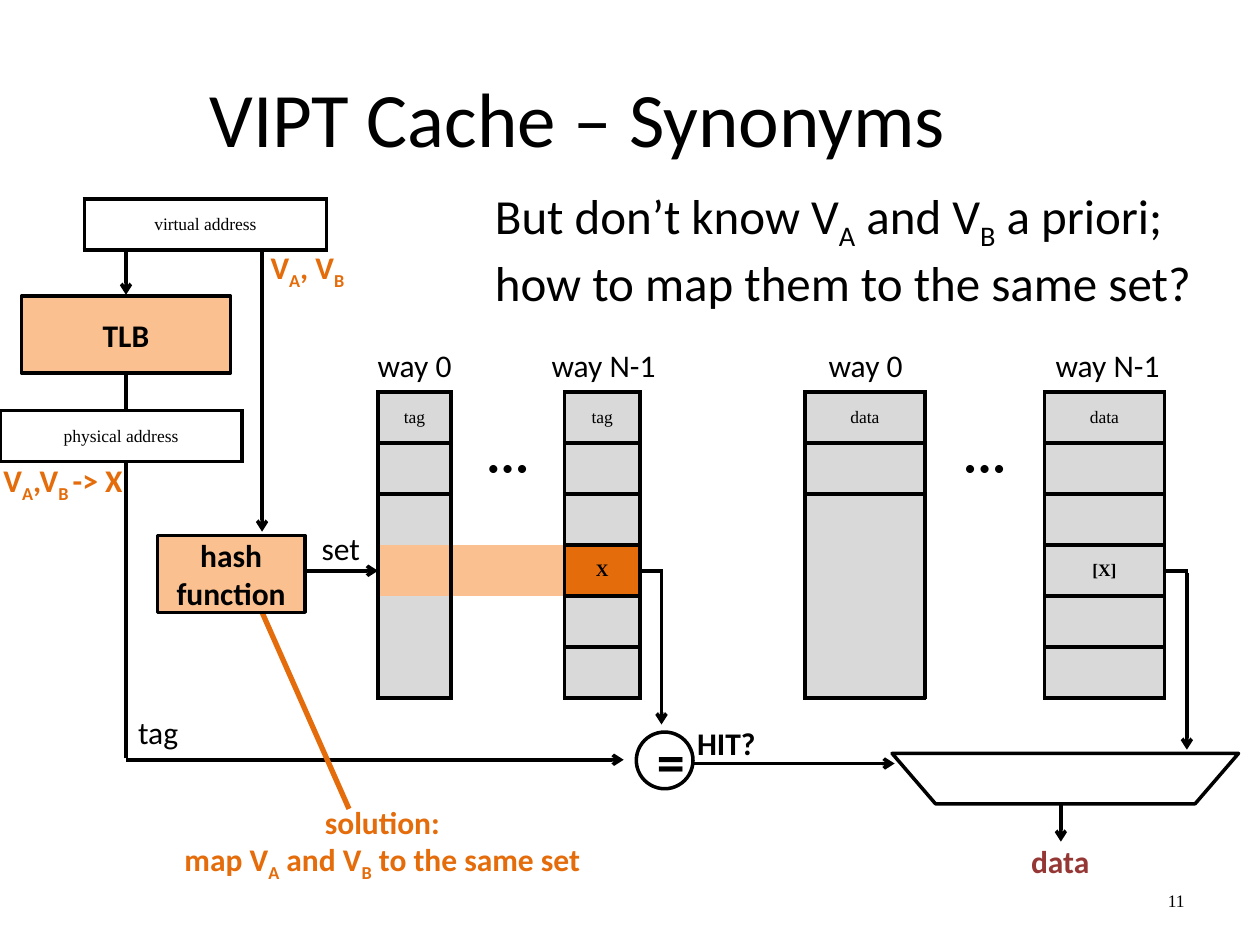
from dataclasses import dataclass

from lxml.etree import SubElement
from pptx import Presentation
from pptx.dml.color import RGBColor
from pptx.enum.shapes import MSO_CONNECTOR, MSO_SHAPE
from pptx.enum.text import MSO_ANCHOR, PP_ALIGN
from pptx.oxml.ns import qn
from pptx.util import Inches, Pt

BLACK = RGBColor(0x00, 0x00, 0x00)
WHITE = RGBColor(0xFF, 0xFF, 0xFF)
GRAY = RGBColor(0xD9, 0xD9, 0xD9)
PEACH = RGBColor(0xFA, 0xC0, 0x90)
ORANGE = RGBColor(0xE4, 0x6C, 0x0A)
MAROON = RGBColor(0x95, 0x37, 0x35)
SANS, SERIF = "Calibri", "Times New Roman"
NO_STYLE = "{2D5ABB26-0587-4C30-8999-92F81FD0307C}"
ROW_HEIGHT = 0.405
DOTS = "● ● ●"


@dataclass
class Label:
    text: str
    left: float
    top: float
    width: float = 1.17
    height: float = 0.4
    size: float = 18
    bold: bool = False
    color: RGBColor = BLACK
    align: PP_ALIGN = PP_ALIGN.CENTER
    anchor: MSO_ANCHOR = MSO_ANCHOR.MIDDLE
    font: str = SANS


@dataclass
class Wire:
    start: tuple[float, float]
    end: tuple[float, float]
    arrow: bool = True
    color: RGBColor = BLACK
    width: float = 2


@dataclass
class Block:
    kind: MSO_SHAPE
    left: float
    top: float
    width: float
    height: float
    fill: RGBColor
    text: str = ""
    size: float = 18


def format_font(font, name: str, size: float, bold: bool, color: RGBColor) -> None:
    font.name, font.size, font.bold = name, Pt(size), bold
    font.color.rgb = color


def write_paragraph(paragraph, text: str, label: Label) -> None:
    paragraph.alignment = label.align
    for index, part in enumerate(text.split("|")):
        if part:
            run = paragraph.add_run()
            run.text = part
            format_font(run.font, label.font, label.size, label.bold, label.color)
            if index % 2:
                run.font._element.set("baseline", "-25000")


def draw_label(slide, label: Label) -> None:
    box = slide.shapes.add_textbox(
        Inches(label.left), Inches(label.top), Inches(label.width), Inches(label.height))
    frame = box.text_frame
    frame.word_wrap = True
    frame.vertical_anchor = label.anchor
    for index, line in enumerate(label.text.split("\n")):
        paragraph = frame.add_paragraph() if index else frame.paragraphs[0]
        write_paragraph(paragraph, line, label)


def draw_wire(slide, wire: Wire) -> None:
    connector = slide.shapes.add_connector(
        MSO_CONNECTOR.STRAIGHT, *(Inches(value) for value in wire.start + wire.end))
    connector.line.color.rgb = wire.color
    connector.line.width = Pt(wire.width)
    if wire.arrow:
        SubElement(connector.line._get_or_add_ln(), qn("a:tailEnd"), type="arrow")
    SubElement(connector._element.spPr, qn("a:effectLst"))


def draw_block(slide, block: Block):
    shape = slide.shapes.add_shape(
        block.kind, Inches(block.left), Inches(block.top), Inches(block.width), Inches(block.height))
    shape.shadow.inherit = False
    shape.fill.solid()
    shape.fill.fore_color.rgb = block.fill
    shape.line.color.rgb = BLACK
    shape.line.width = Pt(2)
    if block.text:
        shape.text_frame.text = block.text
        paragraph = shape.text_frame.paragraphs[0]
        paragraph.alignment = PP_ALIGN.CENTER
        format_font(paragraph.runs[0].font, SANS, block.size, True, BLACK)
    return shape


def add_grid(slide, left: float, top: float, widths: list[float], rows: int):
    table = slide.shapes.add_table(
        rows, len(widths), Inches(left), Inches(top),
        Inches(sum(widths)), Inches(ROW_HEIGHT * rows)).table
    table.first_row = table.horz_banding = False
    table._tbl.tblPr.find(qn("a:tableStyleId")).text = NO_STYLE
    for column, width in zip(table.columns, widths):
        column.width = Inches(width)
    return table


def format_cell(cell, text: str, fill: RGBColor | None, sides: str,
                font: str = SERIF, bold: bool = False) -> None:
    cell.margin_top = cell.margin_bottom = 0
    cell.vertical_anchor = MSO_ANCHOR.MIDDLE
    properties = cell._tc.get_or_add_tcPr()
    for side in "LRTB":
        if side in sides:
            border = SubElement(properties, qn(f"a:ln{side}"), w=str(Pt(2.25)))
            solid = SubElement(border, qn("a:solidFill"))
            SubElement(solid, qn("a:srgbClr"), val=str(BLACK))
    if fill is None:
        cell.fill.background()
    else:
        cell.fill.solid()
        cell.fill.fore_color.rgb = fill
    if text:
        cell.text_frame.text = text
        paragraph = cell.text_frame.paragraphs[0]
        paragraph.alignment = PP_ALIGN.CENTER
        format_font(paragraph.runs[0].font, font, 10, bold, BLACK)


def draw_cache(slide) -> None:
    table = add_grid(slide, 3, 3.11, [0.58, 0.9, 0.6, 1.31, 0.95, 0.95, 0.95], 6)
    headers = {0: "tag", 2: "tag", 4: "data", 6: "data"}
    hits = {2: "X", 6: "[X]"}
    hit_row = 3
    set_fills = {0: PEACH, 1: PEACH, 2: ORANGE}
    hit_sides = {hit_row - 1: "B", hit_row: "TB", hit_row + 1: "T"}
    for row in range(6):
        for column in range(7):
            way = column in headers
            text, sides = "", ""
            fill = GRAY if way else None
            if row == hit_row:
                fill = set_fills.get(column, fill)
                text = hits.get(column, "")
            if way:
                sides = "LR" + {0: "TB", 1: "T", 5: "B"}.get(row, "")
                if column in hits:
                    sides += hit_sides.get(row, "")
            if row == 0:
                text = headers.get(column, "")
            dots = row == 1 and column in (1, 5)
            format_cell(table.cell(row, column), DOTS if dots else text, fill, sides,
                        SANS if dots else SERIF, row == hit_row)


def draw_address(slide, text: str, left: float, top: float) -> None:
    table = add_grid(slide, left, top, [1.92], 1)
    format_cell(table.cell(0, 0), text, WHITE, "LRTB")


def main() -> None:
    presentation = Presentation()
    presentation.slide_width, presentation.slide_height = Inches(10), Inches(7.5)
    slide = presentation.slides.add_slide(presentation.slide_layouts[5])
    title = slide.shapes.title
    title.left, title.top, title.width, title.height = (
        Inches(value) for value in (0.5, 0.3, 8.17, 1.25))
    title.text_frame.text = "VIPT Cache – Synonyms"
    title.text_frame.vertical_anchor = MSO_ANCHOR.MIDDLE
    title.text_frame.paragraphs[0].alignment = PP_ALIGN.CENTER
    format_font(title.text_frame.paragraphs[0].runs[0].font, SANS, 44, False, BLACK)

    draw_cache(slide)
    mux = draw_block(slide, Block(MSO_SHAPE.TRAPEZOID, 7.08, 5.98, 2.75, 0.4, WHITE))
    mux.adjustments[0] = 0.862
    mux._element.spPr.find(qn("a:xfrm")).set("flipV", "1")

    for wire in (
        Wire((1.5, 4.53), (3, 4.53)),
        Wire((5.5, 6.06), (7.1, 6.06)),
        Wire((5.25, 4.55), (5.25, 5.75)),
        Wire((9.42, 4.55), (9.42, 5.95)),
        Wire((8.42, 6.38), (8.42, 6.68)),
        Wire((5.08, 4.53), (5.26, 4.53), arrow=False),
        Wire((9.25, 4.53), (9.43, 4.53), arrow=False),
        Wire((1, 6.02), (1, 2.42), arrow=False),
        Wire((1, 6.03), (4.95, 6.03)),
        Wire((2.08, 1.92), (2.08, 4.22)),
        Wire((1, 1.99), (1, 2.34)),
        Wire((2.08, 4.86), (2.77, 6.42), arrow=False, color=ORANGE, width=3),
    ):
        draw_wire(slide, wire)

    for block in (
        Block(MSO_SHAPE.OVAL, 5.05, 5.81, 0.45, 0.45, WHITE, "=", 32),
        Block(MSO_SHAPE.RECTANGLE, 1.25, 4.25, 1.17, 0.61, PEACH, "hash function"),
        Block(MSO_SHAPE.RECTANGLE, 0.17, 2.35, 1.66, 0.61, PEACH, "TLB"),
    ):
        draw_block(slide, block)
    draw_address(slide, "physical address", 0, 3.26)
    draw_address(slide, "virtual address", 0.67, 1.58)

    for way, left in (("0", 2.75), ("N-1", 4.25), ("0", 6.33), ("N-1", 8.25)):
        draw_label(slide, Label(f"way {way}", left, 2.7, 1.08))
    for label in (
        Label("HIT?", 5.18, 5.7, bold=True),
        Label("data", 7.83, 6.63, bold=True, color=MAROON),
        Label("tag", 0.67, 5.61),
        Label("set", 2.12, 4.15),
        Label("V|A|,V|B |-> X", -0.14, 3.58, 1.28, 0.5, bold=True, color=ORANGE),
        Label("V|A|, V|B|", 1.8, 1.89, 1.28, 0.5, bold=True, color=ORANGE),
        Label("solution:\nmap V|A| and V|B| to the same set", 1.07, 6.44, 3.93, 0.5,
              bold=True, color=ORANGE),
        Label("But don’t know V|A| and V|B| a priori; how to map them to the same set?",
              3.83, 1.42, 5.83, 1.05, 28, align=PP_ALIGN.LEFT, anchor=MSO_ANCHOR.TOP),
        Label("11", 8.33, 6.95, size=10, align=PP_ALIGN.RIGHT, font=SERIF),
    ):
        draw_label(slide, label)
    presentation.save("out.pptx")


if __name__ == "__main__":
    main()
